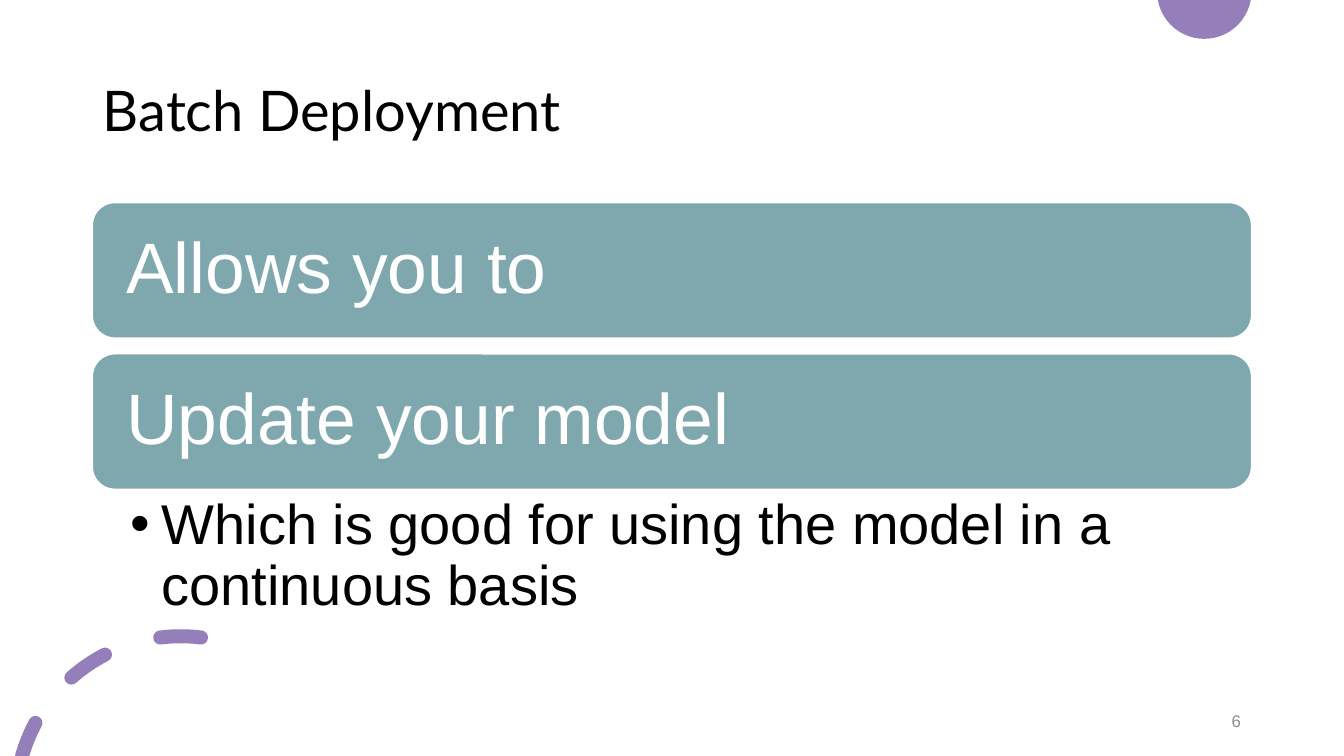
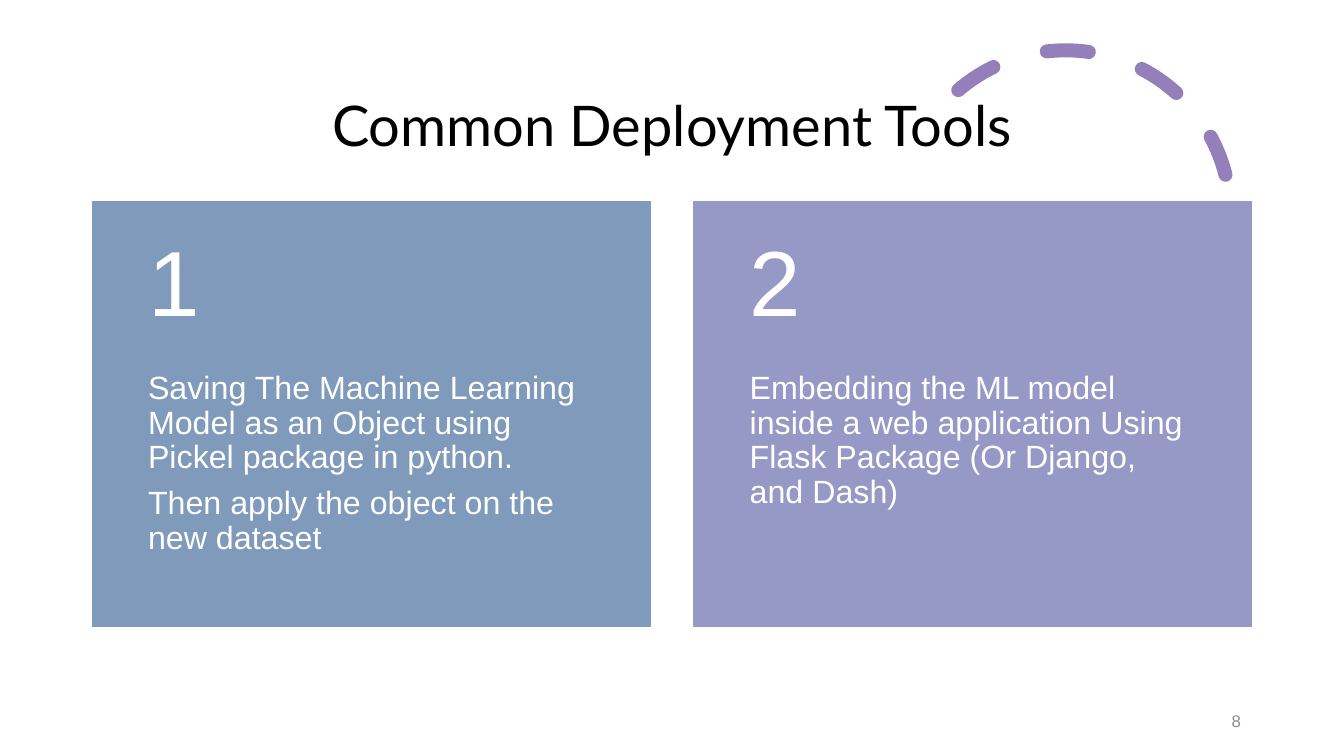
import math

import pptx
import pptx.dml.color
import pptx.enum.dml
import pptx.enum.shapes
import pptx.enum.text
import pptx.util
from lxml import etree
from pptx.oxml.ns import qn

PX = 9525  # EMU per px, 96 px to the inch
COLORS = {
    "accent": "957FBA", "teal": "7FA8AE", "blue": "7F9ABA", "lilac": "9698C6",
    "white": "FFFFFF", "black": "000000", "grey": "8C8C8C",
}
LEFT, WIDTH = 88, 1104

BATCH = {
    "title": "Batch Deployment",
    "page": "6",
    "bars": ["Allows you to", "Update your model"],
    "bullet": "Which is good for using the model in a continuous basis",
}
TOOLS = {
    "title": "Common Deployment Tools",
    "page": "8",
    "cards": [
        ("1", "blue", ["Saving The Machine Learning Model as an Object using "
                       "Pickel package in python.",
                       "Then apply the object on the new dataset"]),
        ("2", "lilac", ["Embedding the ML model inside a web application Using "
                        "Flask Package (Or Django, and Dash)"]),
    ],
}

SHAPE = pptx.enum.shapes.MSO_SHAPE
ALIGN = pptx.enum.text.PP_ALIGN
ANCHOR = pptx.enum.text.MSO_ANCHOR


def rgb(name):
    return pptx.dml.color.RGBColor.from_string(COLORS[name])


def box(*lengths):
    return [length * PX for length in lengths]


def write(sp, paragraphs, size, color, font="Arial", align=ALIGN.LEFT,
          anchor=ANCHOR.MIDDLE, insets=(10, 5, 10, 5), space_after=0, spacing=0.9):
    """Fill a shape with evenly formatted paragraphs; insets are left, top, right, bottom."""
    tf = sp.text_frame
    frame = {"word_wrap": True, "vertical_anchor": anchor,
             "auto_size": pptx.enum.text.MSO_AUTO_SIZE.NONE}
    for side, inset in zip(("left", "top", "right", "bottom"), insets):
        frame[f"margin_{side}"] = inset * PX
    for name, value in frame.items():
        setattr(tf, name, value)
    for i, text in enumerate(paragraphs):
        p = tf.add_paragraph() if i else tf.paragraphs[0]
        p.alignment, p.line_spacing = align, spacing
        p.space_before, p.space_after = 0, pptx.util.Pt(space_after)
        r = p.add_run()
        r.text = text
        r.font.name, r.font.size = font, pptx.util.Pt(size)
        r.font.color.rgb = rgb(color)
    return tf


def add_text(s, bounds, paragraphs, size, color, **style):
    sp = s.shapes.add_textbox(*box(*bounds))
    return write(sp, paragraphs, size, color, **style)


def add_panel(s, preset, bounds, fill, line):
    sp = s.shapes.add_shape(preset, *box(*bounds))
    sp.shadow.inherit = False
    sp.fill.solid()
    sp.fill.fore_color.rgb = rgb(fill)
    sp.line.color.rgb = rgb(line)
    sp.line.width = pptx.util.Pt(1)
    return sp


def add_bullet(p, indent):
    pPr = p._p.get_or_add_pPr()
    pPr.set("marL", str(indent * PX))
    pPr.set("indent", str(-indent * PX))
    etree.SubElement(pPr, qn("a:buFont")).set("typeface", "Arial")
    etree.SubElement(pPr, qn("a:buChar")).set("char", "•")


def circle_points(cx, cy, radius, start, end, steps=24):
    """Points in EMU along a circle, in degrees clockwise from the right."""
    angles = [math.radians(start + (end - start) * i / steps) for i in range(steps + 1)]
    return [(round((cx + radius * math.cos(a)) * PX),
             round((cy + radius * math.sin(a)) * PX)) for a in angles]


def style_stroke(sp):
    sp.shadow.inherit = False
    sp.fill.background()
    sp.line.color.rgb = rgb("accent")
    sp.line.width = pptx.util.Pt(10)
    sp.line._get_or_add_ln().set("cap", "rnd")


def add_top_disc(s):
    cx, cy, radius = 1147, -8, 45
    edge = math.degrees(math.asin(-cy / radius))
    first, *rest = circle_points(cx, cy, radius, edge, 180 - edge)
    builder = s.shapes.build_freeform(*first, scale=1.0)
    builder.add_line_segments(rest, close=True)
    sp = builder.convert_to_shape()
    sp.shadow.inherit = False
    sp.fill.solid()
    sp.fill.fore_color.rgb = rgb("accent")
    sp.line.fill.background()


def add_corner_dashes(s):
    cx, cy, radius = 172, 763, 157
    bottom_edge = 180 + math.degrees(math.asin((cy - 720) / radius))
    builder = None
    for i in range(3):
        middle = 270 - 34.4 * i
        start = max(middle - 7.1, bottom_edge)
        first, *rest = circle_points(cx, cy, radius, start, middle + 7.1, steps=8)
        if builder is None:
            builder = s.shapes.build_freeform(*first, scale=1.0)
        else:
            builder.move_to(*first)
        builder.add_line_segments(rest, close=False)
    style_stroke(builder.convert_to_shape())


def add_dashed_arc(s):
    sp = s.shapes.add_shape(SHAPE.ARC, *box(858, 48, 314, 314))
    sp.adjustments[0], sp.adjustments[1] = 146.13, 0
    sp.rotation = 345.8
    style_stroke(sp)
    sp.line.dash_style = pptx.enum.dml.MSO_LINE.DASH


def add_slide(prs, content, title_top, align):
    s = prs.slides.add_slide(prs.slide_layouts[5])
    title = s.shapes.title
    title.left, title.top, title.width, title.height = box(LEFT, title_top, WIDTH, 139)
    write(title, [content["title"]], 40, "black", font="Lato", align=align)
    add_text(s, (904, 667, 288, 38), [content["page"]], 12, "grey",
             align=ALIGN.RIGHT, spacing=1.0)
    return s


def build_batch(prs):
    s = add_slide(prs, BATCH, 38, ALIGN.LEFT)
    add_top_disc(s)
    add_corner_dashes(s)
    top, height, gap = 193, 129, 15
    for text in BATCH["bars"]:
        bar = add_panel(s, SHAPE.ROUNDED_RECTANGLE, (LEFT, top, WIDTH, height),
                        "teal", "white")
        write(bar, [text], 51, "white", insets=(26, 20, 26, 20))
        top += height + gap
    tf = add_text(s, (LEFT, top - gap, WIDTH, 131), [BATCH["bullet"]], 40, "black",
                  anchor=ANCHOR.TOP, insets=(36, 7, 38, 7))
    add_bullet(tf.paragraphs[0], 30)


def build_tools(prs):
    s = add_slide(prs, TOOLS, 53, ALIGN.CENTER)
    add_dashed_arc(s)
    cards = TOOLS["cards"]
    top, height, header, gap = 192, 405, 162, 42
    width = (WIDTH - gap * (len(cards) - 1)) // len(cards)
    for i, (number, color, paragraphs) in enumerate(cards):
        left = LEFT + i * (width + gap)
        card = add_panel(s, SHAPE.RECTANGLE, (left, top, width, height), color, color)
        write(card, paragraphs, 23, "white", anchor=ANCHOR.TOP,
              insets=(53, header, 53, 35), space_after=8)
        add_text(s, (left, top, width, header), [number], 66, "white",
                 insets=(53, 17, 53, 17))


def main():
    prs = pptx.Presentation()
    prs.slide_width, prs.slide_height = box(1280, 720)
    build_batch(prs)
    build_tools(prs)
    prs.save("out.pptx")


if __name__ == "__main__":
    main()
